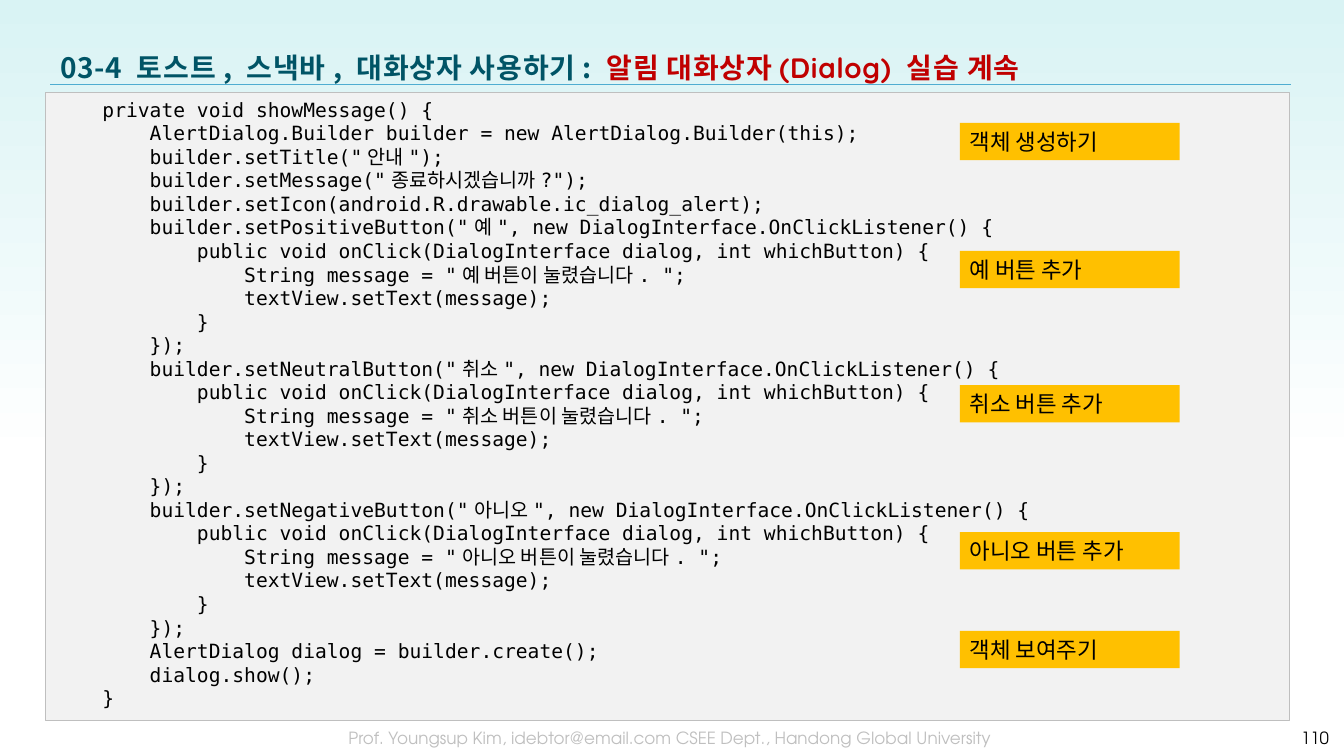
from lxml import etree
from pptx import Presentation
from pptx.dml.color import RGBColor
from pptx.enum.shapes import MSO_CONNECTOR, MSO_SHAPE
from pptx.enum.text import MSO_ANCHOR, PP_ALIGN
from pptx.oxml.ns import qn
from pptx.util import Inches, Pt

RECT = MSO_SHAPE.RECTANGLE
STRAIGHT = MSO_CONNECTOR.STRAIGHT
TOP, MIDDLE = MSO_ANCHOR.TOP, MSO_ANCHOR.MIDDLE
LEFT, CENTER, RIGHT = PP_ALIGN.LEFT, PP_ALIGN.CENTER, PP_ALIGN.RIGHT

COLORS = {"sky": "D9F3F4", "white": "FFFFFF", "rule": "4FADD1", "footer": "BFBFBF",
          "title": "005466", "accent": "C00000", "black": "000000",
          "code": "F2F2F2", "border": "BFBFBF", "label": "FFC000"}
KOREAN, MONO = "Noto Sans CJK KR", "DejaVu Sans Mono"
BODY, DISPLAY = "TeX Gyre Adventor", "Quicksand"

BUTTONS = [("Positive", "예"), ("Neutral", "취소"), ("Negative", "아니오")]
OPENING = """    private void showMessage() {
        AlertDialog.Builder builder = new AlertDialog.Builder(this);
        builder.setTitle("안내");
        builder.setMessage("종료하시겠습니까?");
        builder.setIcon(android.R.drawable.ic_dialog_alert);
"""
LISTENER = """        builder.set{0}Button("{1}", new DialogInterface.OnClickListener() {{
            public void onClick(DialogInterface dialog, int whichButton) {{
                String message = "{1} 버튼이 눌렸습니다. ";
                textView.setText(message);
            }}
        }});
"""
CLOSING = """        AlertDialog dialog = builder.create();
        dialog.show();
    }"""
CODE = OPENING + "".join(LISTENER.format(*button) for button in BUTTONS) + CLOSING

LABEL_TOPS = [1.22, 2.49, 3.82, 5.28, 6.26]
LABELS = ["객체 생성하기", *(f"{word} 버튼 추가" for _, word in BUTTONS), "객체 보여주기"]


def rgb(name):
    """Return the named colour."""
    return RGBColor.from_string(COLORS[name])


def set_font(font, name, size, color, bold=False):
    """Set the Latin and East Asian typeface, size, colour and weight."""
    font.name, font.size, font.bold = name, Pt(size), bold
    font.color.rgb = rgb(color)
    latin = font._element.find(qn("a:latin"))
    ea = etree.Element(qn("a:ea"), typeface=KOREAN)
    latin.addnext(ea)


def add_rect(s, box, fill, line=None):
    """Add a flat rectangle in the box, given in inches."""
    sp = s.shapes.add_shape(RECT, *map(Inches, box))
    sp.shadow.inherit = False
    sp.fill.solid()
    sp.fill.fore_color.rgb = rgb(fill)
    if line:
        sp.line.color.rgb = rgb(line)
        sp.line.width = Pt(0.75)
    else:
        sp.line.fill.background()
    return sp


def write(sp, lines, name, size, color, align=LEFT, anchor=MIDDLE, spacing=None):
    """Write one paragraph per line in a shape."""
    tf = sp.text_frame
    tf.word_wrap = True
    tf.vertical_anchor = anchor
    for i, line in enumerate(lines):
        p = tf.add_paragraph() if i else tf.paragraphs[0]
        p.add_run().text = line
        p.alignment = align
        if spacing:
            p.line_spacing = Pt(spacing)
        set_font(p.font, name, size, color)


def add_background(s, box):
    """Fade the box from pale blue to white."""
    sp = add_rect(s, box, "white")
    sp.fill.gradient()
    sp.fill.gradient_angle = 270
    for stop, color, position in zip(sp.fill.gradient_stops, ("sky", "white"), (0, 0.61)):
        stop.color.rgb = rgb(color)
        stop.position = position


def add_title(s, box):
    """Add the two-coloured title and the rule below it."""
    left, top, width, height = box
    line = s.shapes.add_connector(STRAIGHT, Inches(left), Inches(top + 0.42),
                                  Inches(left + width), Inches(top + 0.42))
    line.line.color.rgb = rgb("rule")
    line.line.width = Pt(0.25)
    etree.SubElement(line._element.spPr, qn("a:effectLst"))
    tf = s.shapes.add_textbox(*map(Inches, box)).text_frame
    tf.word_wrap = True
    tf.vertical_anchor = MIDDLE
    p = tf.paragraphs[0]
    for text, name, color in [
            ("03-4 토스트, 스낵바, 대화상자 사용하기: ", KOREAN, "title"),
            ("알림 대화상자(Dialog) 실습 계속", DISPLAY, "accent")]:
        r = p.add_run()
        r.text = text
        set_font(r.font, name, 20, color, bold=True)
        r.font._element.set("spc", "50")


def add_code(s, box):
    """Add the code panel."""
    sp = add_rect(s, box, "code", "border")
    write(sp, CODE.split("\n"), MONO, 14, "black", anchor=TOP, spacing=16.8)


def add_labels(s, left, width, height):
    """Add the labels beside the code steps."""
    for top, text in zip(LABEL_TOPS, LABELS):
        sp = add_rect(s, (left, top, width, height), "label")
        write(sp, [text], BODY, 16, "black")


def add_footer(s, box):
    """Add the lecturer line and the page number in the bottom band."""
    left, top, width, height = box
    credit = s.shapes.add_textbox(*map(Inches, (left + 2.43, top, 8.43, height)))
    write(credit, ["Prof. Youngsup Kim, idebtor@email.com CSEE Dept., Handong Global University"],
          BODY, 12, "footer", CENTER)
    number = s.shapes.add_textbox(*map(Inches, (left + width - 1.22, top, 1.17, height)))
    write(number, ["110"], BODY, 12, "black", RIGHT)


def main():
    """Build the slide and save it."""
    prs = Presentation()
    prs.slide_width, prs.slide_height = Inches(13.33), Inches(7.5)
    s = prs.slides.add_slide(prs.slide_layouts[6])
    add_background(s, (0, 0, 13.33, 7.5))
    add_title(s, (0.5, 0.42, 12.3, 0.5))
    add_footer(s, (0, 7.14, 13.33, 0.36))
    add_code(s, (0.45, 0.92, 12.34, 6.23))
    add_labels(s, 9.52, 2.18, 0.37)
    prs.save("out.pptx")


if __name__ == "__main__":
    main()
